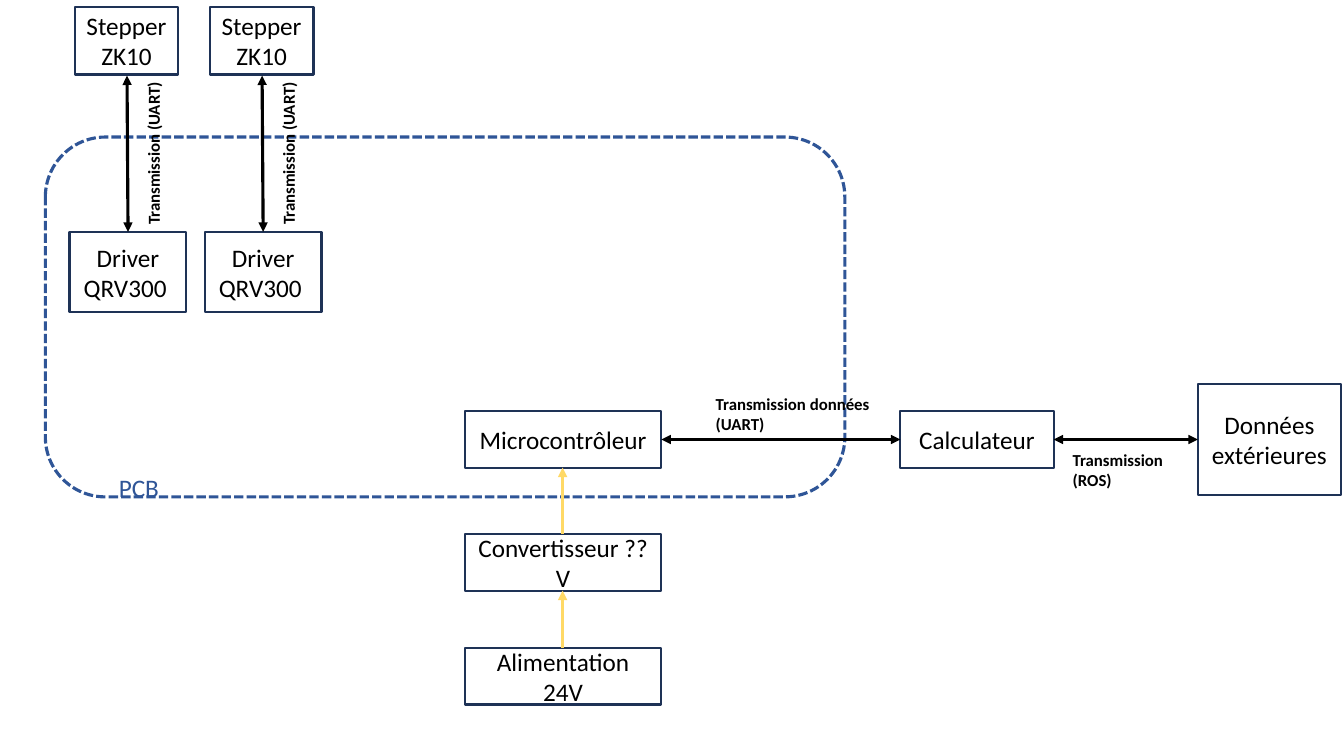
from dataclasses import dataclass

from lxml import etree
from pptx import Presentation
from pptx.dml.color import RGBColor
from pptx.enum import dml, shapes, text
from pptx.oxml import ns
from pptx.util import Inches, Pt


@dataclass(frozen=True)
class Theme:
    font: str = "Calibri"
    ink: str = "000000"
    edge: str = "1E3256"
    board: str = "2F5597"
    power: str = "FFD966"
    body: float = 18
    small: float = 12
    thin: float = 1.5
    thick: float = 2.25


@dataclass(frozen=True)
class Block:
    label: str
    left: float
    top: float
    width: float
    height: float


@dataclass(frozen=True)
class Label:
    label: str
    left: float
    top: float
    width: float
    height: float
    wrap: bool = False
    turn: float = 0
    size: float = Theme.small
    color: str = Theme.ink
    bold: bool = True


@dataclass(frozen=True)
class Link:
    x1: float
    y1: float
    x2: float
    y2: float
    color: str = Theme.ink
    both: bool = True


theme = Theme()
deck = Presentation()
deck.slide_width, deck.slide_height = Inches(13.33), Inches(7.5)
slide = deck.slides.add_slide(deck.slide_layouts[6])


def style(frame, size: float, color: str, bold: bool = False, align=None) -> None:
    for para in frame.paragraphs:
        para.alignment = align
        for run in para.runs:
            run.font.name = theme.font
            run.font.size = Pt(size)
            run.font.bold = bold
            run.font.color.rgb = RGBColor.from_string(color)


def outline(line, color: str, width: float) -> None:
    line.color.rgb = RGBColor.from_string(color)
    line.width = Pt(width)


def area(item) -> tuple:
    return tuple(Inches(v) for v in (item.left, item.top, item.width, item.height))


def draw_block(block: Block, kind=shapes.MSO_SHAPE.RECTANGLE):
    shape = slide.shapes.add_shape(kind, *area(block))
    shape.shadow.inherit = False
    shape.fill.background()
    outline(shape.line, theme.edge, theme.thin)
    frame = shape.text_frame
    frame.text = block.label
    frame.word_wrap = True
    frame.vertical_anchor = text.MSO_ANCHOR.MIDDLE
    style(frame, theme.body, theme.ink, align=text.PP_ALIGN.CENTER)
    return shape


def draw_label(label: Label) -> None:
    box = slide.shapes.add_textbox(*area(label))
    box.rotation = label.turn
    frame = box.text_frame
    frame.text = label.label
    frame.word_wrap = label.wrap
    frame.auto_size = text.MSO_AUTO_SIZE.SHAPE_TO_FIT_TEXT
    style(frame, label.size, label.color, label.bold)


def draw_link(link: Link) -> None:
    ends = (Inches(v) for v in (link.x1, link.y1, link.x2, link.y2))
    wire = slide.shapes.add_connector(shapes.MSO_CONNECTOR.STRAIGHT, *ends)
    outline(wire.line, link.color, theme.thick)
    stroke = wire.line._get_or_add_ln()
    for tip in ("a:headEnd", "a:tailEnd") if link.both else ("a:tailEnd",):
        etree.SubElement(stroke, ns.qn(tip), type="triangle")
    etree.SubElement(wire._element.spPr, ns.qn("a:effectLst"))


# Circuit board outline
board = draw_block(Block("", 0.45, 1.36, 7.93, 3.57),
                   shapes.MSO_SHAPE.ROUNDED_RECTANGLE)
outline(board.line, theme.board, theme.thick)
board.line.dash_style = dml.MSO_LINE.SQUARE_DOT
draw_label(Label("PCB", 1.08, 4.64, 1.45, 0.29, wrap=True,
                 size=theme.body, color=theme.board, bold=False))

# Motors, each with its driver
for left in (0.69, 2.03):
    draw_block(Block("Driver\nQRV300 ", left, 2.3, 1.16, 0.8))
    draw_block(Block("Stepper \nZK10", left + 0.05, 0.07, 1.03, 0.67))
    draw_link(Link(left + 0.57, 0.75, left + 0.58, 2.3))
    draw_label(Label("Transmission (UART)", left + 0.01, 1.36, 1.64, 0.3,
                     wrap=True, turn=270))

# Power chain, from the supply up to the controller
LEFT, WIDE, HIGH = 4.61, 1.95, 0.56
chain = [("Microcontrôleur", 4.08), ("Convertisseur ??V", 5.3),
         ("Alimentation 24V", 6.43)]
for name, top in chain:
    draw_block(Block(name, LEFT, top, WIDE, HIGH))
for (_, upper), (_, lower) in zip(chain, chain[1:]):
    draw_link(Link(5.58, lower, 5.58, upper + HIGH, theme.power, both=False))

# Data chain, to the right of the controller
host = Block("Calculateur", 8.93, 4.08, 1.52, HIGH)
data = Block("Données extérieures", 11.88, 3.81, 1.42, 1.1)
for block in (host, data):
    draw_block(block)
for start, end in ((LEFT + WIDE, host.left), (host.left + host.width, data.left)):
    draw_link(Link(start, 4.36, end, 4.36))
draw_label(Label("Transmission données\n(UART)", 7, 3.86, 1.75, 0.5))
draw_label(Label("Transmission\n(ROS)", 10.54, 4.41, 1.11, 0.5))

deck.save("out.pptx")
